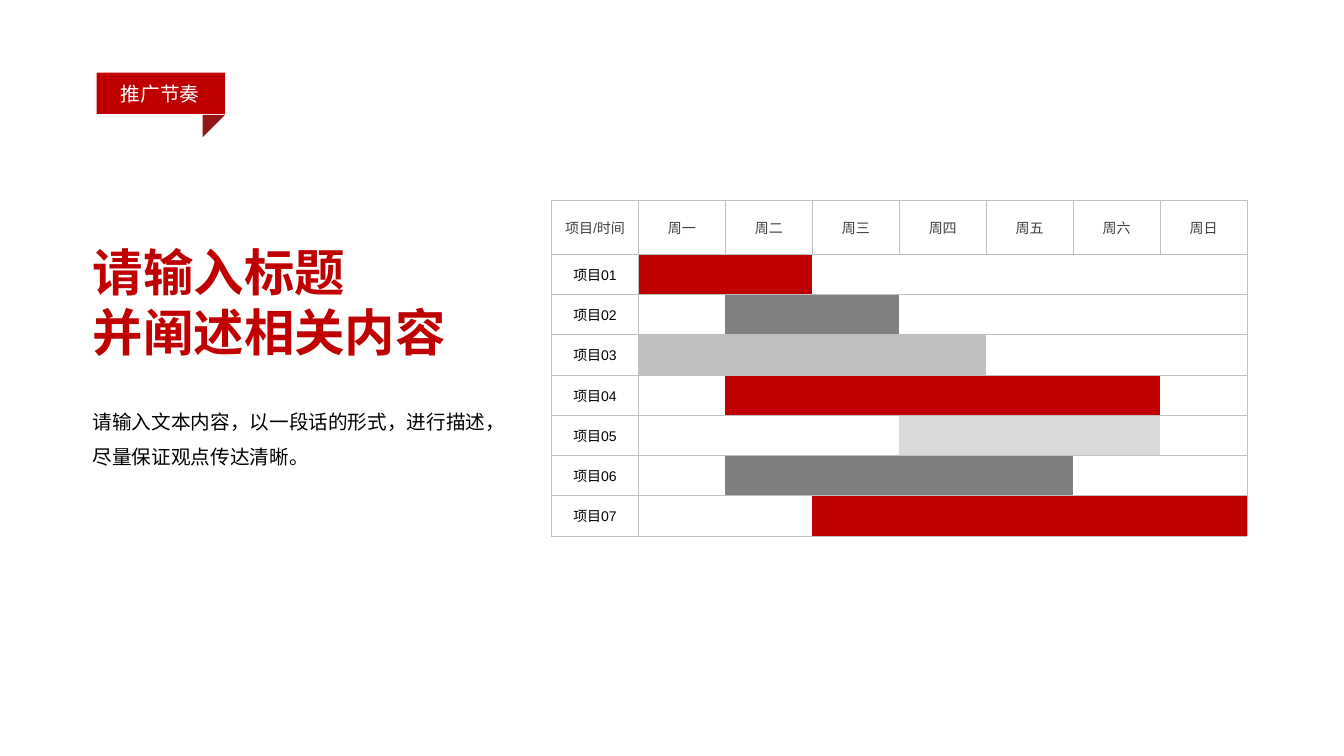
import pptx
import pptx.util
import pptx.dml.color
import pptx.enum.shapes
import pptx.enum.text
import pptx.oxml

Inches, Pt = pptx.util.Inches, pptx.util.Pt
MIDDLE = pptx.enum.text.MSO_ANCHOR.MIDDLE
LEFT, CENTER = pptx.enum.text.PP_ALIGN.LEFT, pptx.enum.text.PP_ALIGN.CENTER
SHAPES = pptx.enum.shapes.MSO_SHAPE

RED, DARK_RED, GREY = "C00000", "941417", "BFBFBF"
DAYS = ["周一", "周二", "周三", "周四", "周五", "周六", "周日"]
# first day, last day, bar colour of each project
PROJECT_BARS = [(1, 2, RED), (2, 3, "808080"), (1, 4, GREY), (2, 6, RED),
                (4, 6, "D9D9D9"), (2, 5, "7F7F7F"), (3, 7, RED)]


def color(hex_string):
    return pptx.dml.color.RGBColor.from_string(hex_string)


class SlideBuilder:
    font = "Arial"

    def __init__(self, slide):
        self.slide = slide

    def set_text(self, frame, text, size, hex_color, bold=False, align=LEFT, spacing=1.0):
        frame.text = text
        for paragraph in frame.paragraphs:
            paragraph.alignment = align
            paragraph.line_spacing = spacing
            paragraph.font.name = self.font
            paragraph.font.size = Pt(size)
            paragraph.font.bold = bold
            paragraph.font.color.rgb = color(hex_color)

    def title(self, box, text, size, hex_color):
        heading = self.slide.shapes.title
        heading.left, heading.top, heading.width, heading.height = map(Inches, box)
        frame = heading.text_frame
        frame.auto_size = pptx.enum.text.MSO_AUTO_SIZE.NONE
        frame.vertical_anchor = pptx.enum.text.MSO_ANCHOR.TOP
        self.set_text(frame, text, size, hex_color, bold=True)

    def text(self, box, text, size, hex_color, wrap=True, spacing=1.0):
        frame = self.slide.shapes.add_textbox(*map(Inches, box)).text_frame
        frame.word_wrap = wrap
        frame.auto_size = pptx.enum.text.MSO_AUTO_SIZE.SHAPE_TO_FIT_TEXT
        self.set_text(frame, text, size, hex_color, spacing=spacing)

    def shape(self, group, kind, box, hex_color, rotation=0):
        part = group.shapes.add_shape(kind, *map(Inches, box))
        part.shadow.inherit = False
        part.fill.solid()
        part.fill.fore_color.rgb = color(hex_color)
        part.line.fill.background()
        part.rotation = rotation

    def borders(self, cell, sides):
        properties = cell._tc.get_or_add_tcPr()
        for side in "LRTB":
            paint = "<a:noFill/>"
            if side in sides:
                paint = f'<a:solidFill><a:srgbClr val="{GREY}"/></a:solidFill>'
            properties.append(pptx.oxml.parse_xml(
                f'<a:ln{side} xmlns:a="http://schemas.openxmlformats.org/drawingml/2006/main"'
                f' w="{Pt(0.5)}">{paint}</a:ln{side}>'))

    def cell(self, cell, sides, text="", hex_color="000000", fill=None):
        self.borders(cell, sides)
        cell.vertical_anchor = MIDDLE
        self.set_text(cell.text_frame, text, 10, hex_color, align=CENTER)
        if fill:
            cell.fill.solid()
            cell.fill.fore_color.rgb = color(fill)
        else:
            cell.fill.background()

    def schedule(self, box, header_height, days, bars):
        rows, columns = len(bars) + 1, len(days) + 1
        table = self.slide.shapes.add_table(rows, columns, *map(Inches, box)).table
        table.first_row = table.horz_banding = False
        for column in table.columns:
            column.width = Inches(box[2] / columns)
        for row in table.rows:
            row.height = Inches((box[3] - header_height) / len(bars))
        table.rows[0].height = Inches(header_height)

        for index, label in enumerate(["项目/时间"] + days):
            self.cell(table.cell(0, index), "LRTB", label, "404040")
        for project, (first, last, bar_color) in enumerate(bars, 1):
            self.cell(table.cell(project, 0), "LRTB", f"项目{project:02}")
            for day in range(1, columns):
                sides = "TB" + "L" * (day == 1) + "R" * (day == len(days))
                fill = bar_color if first <= day <= last else None
                self.cell(table.cell(project, day), sides, fill=fill)


def main():
    deck = pptx.Presentation()
    deck.slide_width, deck.slide_height = Inches(13.33), Inches(7.5)
    builder = SlideBuilder(deck.slides.add_slide(deck.slide_layouts[5]))

    # Section ribbon with its folded corner
    ribbon = builder.slide.shapes.add_group_shape()
    builder.shape(ribbon, SHAPES.RECTANGLE, (0.96, 0.72, 1.27, 0.41), RED)
    builder.shape(ribbon, SHAPES.RIGHT_TRIANGLE, (2.01, 1.14, 0.22, 0.22), DARK_RED, 90)
    builder.text((1.1, 0.76, 0.99, 0.34), "推广节奏", 14, "FFFFFF", wrap=False)

    # Title and description
    builder.title((0.82, 2.34, 3.73, 1.31), "请输入标题\n并阐述相关内容", 36, RED)
    builder.text((0.82, 3.9, 4.12, 0.77),
                 "请输入文本内容，以一段话的形式，进行描述，尽量保证观点传达清晰。",
                 14, "000000", spacing=1.5)

    # Weekly schedule
    builder.schedule((5.47, 1.99, 6.9, 3.33), 0.53, DAYS, PROJECT_BARS)

    deck.save("out.pptx")


if __name__ == "__main__":
    main()
